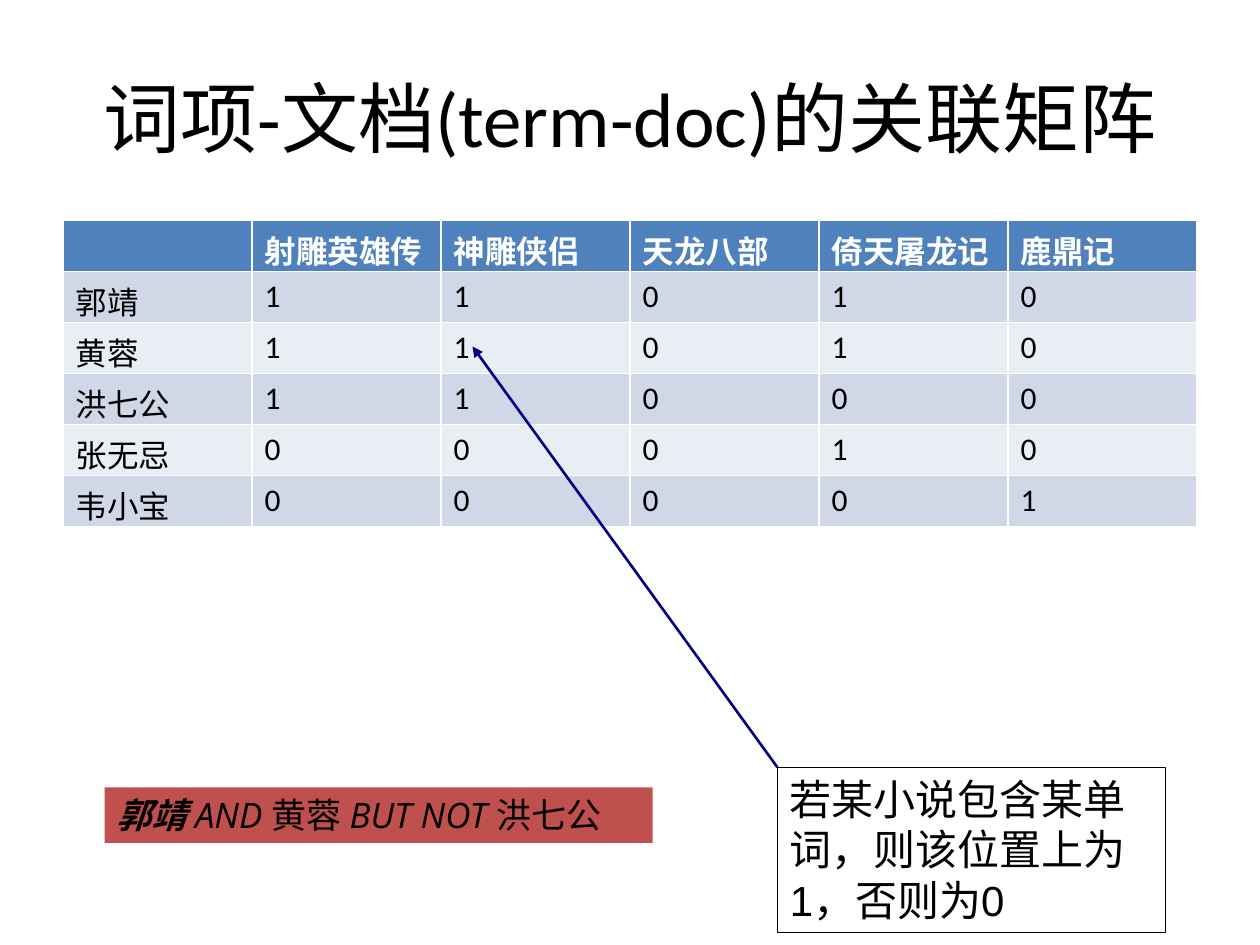
from pptx import Presentation
from pptx.dml.color import RGBColor
from pptx.enum import shapes, text
from pptx.oxml.ns import qn
from pptx.util import Inches, Pt
from lxml import etree

BLACK = RGBColor(0x00, 0x00, 0x00)
WHITE = RGBColor(0xFF, 0xFF, 0xFF)
HEADER_BLUE = RGBColor(0x4F, 0x81, 0xBD)
BANDS = (RGBColor(0xD0, 0xD8, 0xE8), RGBColor(0xE9, 0xED, 0xF4))
QUERY_RED = RGBColor(0xC0, 0x50, 0x4D)
NAVY = RGBColor(0x00, 0x00, 0x80)

NOVELS = ["射雕英雄传", "神雕侠侣", "天龙八部", "倚天屠龙记", "鹿鼎记"]
INCIDENCE = {
    "郭靖": "11010",
    "黄蓉": "11010",
    "洪七公": "11000",
    "张无忌": "00010",
    "韦小宝": "00001",
}
# wording, bold, italic
QUERY = [
    ("郭靖 ", True, True),
    ("AND ", False, True),
    ("黄蓉 ", False, False),
    ("BUT NOT ", False, True),
    ("洪七公", False, False),
]


def add_span(para, wording, size, font, color=BLACK, bold=False, italic=False):
    span = para.add_run()
    span.text = wording
    span.font.size = Pt(size)
    span.font.name = font
    span.font.color.rgb = color
    span.font.bold = bold
    span.font.italic = italic


def place_title(page, left, top, width, height):
    title = page.shapes.title
    title.left, title.top, title.width, title.height = left, top, width, height
    title.text_frame.vertical_anchor = text.MSO_ANCHOR.MIDDLE
    para = title.text_frame.paragraphs[0]
    para.alignment = text.PP_ALIGN.CENTER
    add_span(para, "词项-文档(term-doc)的关联矩阵", 44, "Calibri")


def add_matrix(page, left, top, width, height):
    rows = [["", *NOVELS]]
    rows += [[name, *flags] for name, flags in INCIDENCE.items()]
    frame = page.shapes.add_table(len(rows), len(rows[0]), left, top, width, height)
    for i, row in enumerate(rows):
        header = i == 0
        for j, wording in enumerate(row):
            cell = frame.table.cell(i, j)
            cell.fill.solid()
            cell.fill.fore_color.rgb = HEADER_BLUE if header else BANDS[(i - 1) % 2]
            if wording:
                add_span(cell.text_frame.paragraphs[0], wording, 18, "Calibri",
                         WHITE if header else BLACK, bold=header)


def add_box(page, left, top, width, height, wrap):
    """Add a plain rectangle with left-aligned text and return it."""
    box = page.shapes.add_shape(shapes.MSO_SHAPE.RECTANGLE, left, top, width, height)
    box.shadow.inherit = False
    box.text_frame.word_wrap = wrap
    box.text_frame.auto_size = text.MSO_AUTO_SIZE.SHAPE_TO_FIT_TEXT
    box.text_frame.vertical_anchor = text.MSO_ANCHOR.TOP
    box.text_frame.paragraphs[0].alignment = text.PP_ALIGN.LEFT
    return box


def add_note(page, left, top, width, height):
    box = add_box(page, left, top, width, height, wrap=True)
    box.fill.background()
    box.line.color.rgb = BLACK
    box.line.width = Pt(0.75)
    add_span(box.text_frame.paragraphs[0],
             "若某小说包含某单词，则该位置上为1，否则为0", 24, "Arial")


def add_query(page, left, top, width, height):
    box = add_box(page, left, top, width, height, wrap=False)
    box.fill.solid()
    box.fill.fore_color.rgb = QUERY_RED
    box.line.fill.background()
    for wording, bold, italic in QUERY:
        add_span(box.text_frame.paragraphs[0], wording, 20, "Open Sans",
                 bold=bold, italic=italic)


def add_arrow(page, start_x, start_y, end_x, end_y):
    arrow = page.shapes.add_connector(
        shapes.MSO_CONNECTOR.STRAIGHT, start_x, start_y, end_x, end_y)
    arrow.line.color.rgb = NAVY
    arrow.line.width = Pt(1.5)
    etree.SubElement(arrow.line._get_or_add_ln(), qn("a:tailEnd"), type="triangle")
    etree.SubElement(arrow._element.spPr, qn("a:effectLst"))


def main():
    deck = Presentation()
    deck.slide_width, deck.slide_height = Inches(10), Inches(7.5)
    page = deck.slides.add_slide(deck.slide_layouts[5])
    margin, content_width = Inches(0.5), Inches(9)
    note_left, note_top = Inches(6.17), Inches(6.09)

    place_title(page, margin, Inches(0.3), content_width, Inches(1.25))
    add_note(page, note_left, note_top, Inches(3.08), Inches(1.31))
    add_query(page, Inches(0.83), Inches(6.25), Inches(4.35), Inches(0.44))
    add_matrix(page, margin, Inches(1.75), content_width, Inches(2.43))
    add_arrow(page, note_left, note_top, Inches(3.75), Inches(2.75))
    deck.save("out.pptx")


if __name__ == "__main__":
    main()
